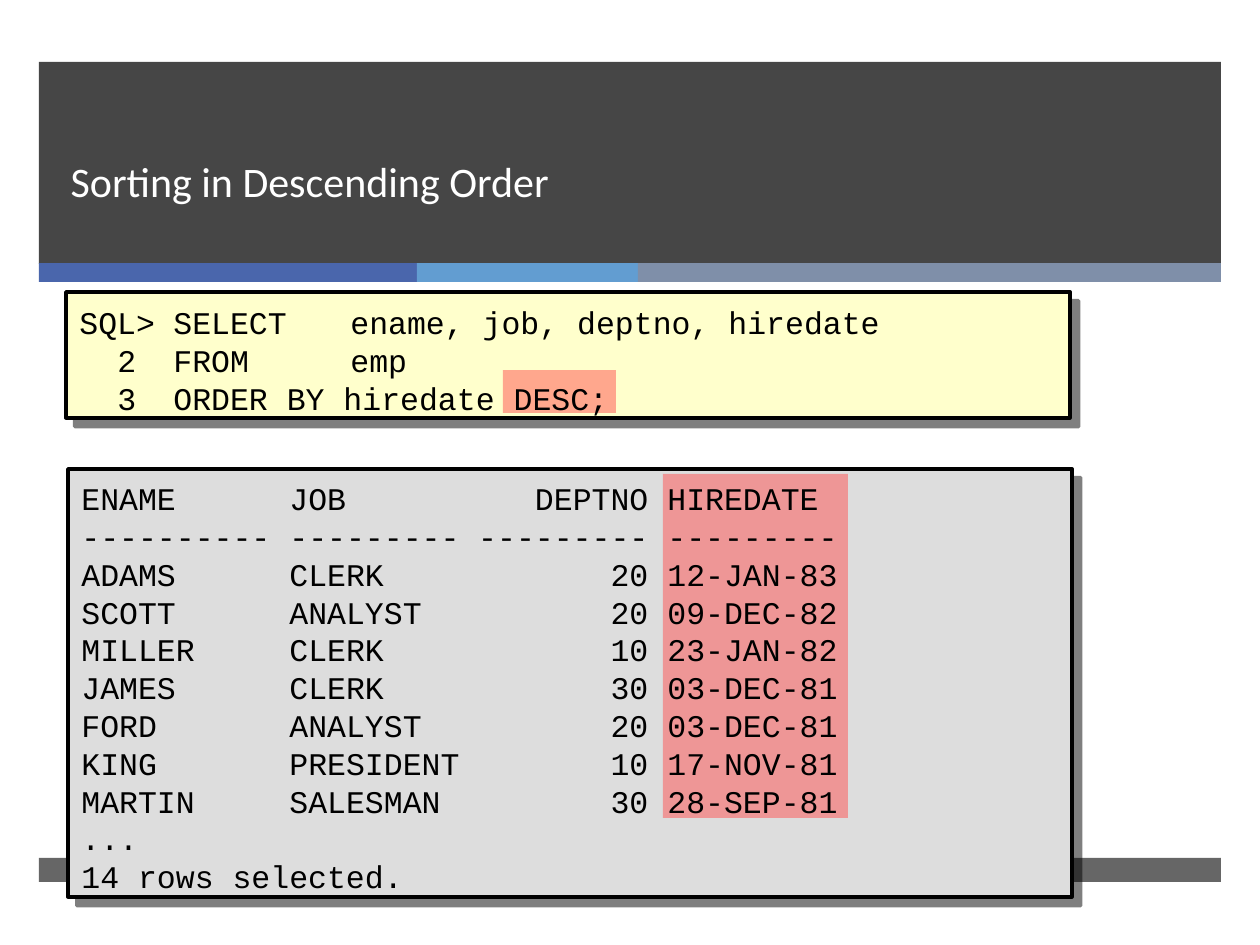
import dataclasses
import typing

import lxml.etree
import pptx
import pptx.dml.color
import pptx.enum.shapes
import pptx.enum.text
import pptx.oxml.ns
import pptx.util

SCALE = 914400 / 126  # EMU in one px
qn = pptx.oxml.ns.qn


@dataclasses.dataclass(frozen=True)
class Box:
    left: int
    top: int
    width: int
    height: int


@dataclasses.dataclass(frozen=True)
class Block:
    box: Box
    fill: str
    alpha: int = 100
    framed: bool = False


@dataclasses.dataclass(frozen=True)
class Tab:
    at: int
    side: str = "l"


@dataclasses.dataclass(frozen=True)
class Code:
    box: Box
    tabs: tuple[Tab, ...]
    lines: tuple[str, ...]


BARS = (
    Block(Box(39, 62, 1182, 202), "262626", 85),
    Block(Box(39, 263, 378, 19), "4A66AC"),
    Block(Box(417, 263, 221, 19), "629DD1"),
    Block(Box(638, 263, 583, 19), "7F8FA9"),
    Block(Box(39, 858, 1182, 24), "262626", 70),
)
PANELS = (
    Block(Box(66, 292, 1004, 126), "FFFFCC", framed=True),
    Block(Box(68, 469, 1004, 428), "DDDDDD", framed=True),
)
MARKS = (
    Block(Box(503, 370, 113, 43), "FF5050", 50),
    Block(Box(663, 474, 185, 344), "FF5050", 50),
)
QUERY = Code(
    Box(67, 291, 1008, 130),
    (Tab(38), Tab(94), Tab(271)),
    (
        "SQL>\tSELECT\tename, job, deptno, hiredate",
        "\t2\tFROM\temp",
        "\t3\tORDER BY hiredate DESC;",
    ),
)
RESULT = Code(
    Box(69, 467, 1008, 432),
    (Tab(208), Tab(567, "r"), Tab(586)),
    (
        "ENAME\tJOB\tDEPTNO\tHIREDATE",
        "----------\t---------\t---------\t---------",
        "ADAMS\tCLERK\t20\t12-JAN-83",
        "SCOTT\tANALYST\t20\t09-DEC-82",
        "MILLER\tCLERK\t10\t23-JAN-82",
        "JAMES\tCLERK\t30\t03-DEC-81",
        "FORD\tANALYST\t20\t03-DEC-81",
        "KING\tPRESIDENT\t10\t17-NOV-81",
        "MARTIN\tSALESMAN\t30\t28-SEP-81",
        "...",
        "14 rows selected.",
    ),
)


def emu(px: int) -> int:
    return round(px * SCALE)


def place(box: Box) -> tuple[int, int, int, int]:
    return emu(box.left), emu(box.top), emu(box.width), emu(box.height)


def color(code: str) -> pptx.dml.color.RGBColor:
    return pptx.dml.color.RGBColor.from_string(code)


def style(para: typing.Any, name: str, size: int, code: str) -> None:
    para.font.name = name
    para.font.size = pptx.util.Pt(size)
    para.font.color.rgb = color(code)


def add_alpha(tint: typing.Any, alpha: int) -> None:
    lxml.etree.SubElement(tint, qn("a:alpha"), val=str(alpha * 1000))


def add_shadow(shape: typing.Any) -> None:
    effects = shape._element.spPr.find(qn("a:effectLst"))
    shadow = lxml.etree.SubElement(
        effects, qn("a:outerShdw"), blurRad="0", dist=str(pptx.util.Pt(7.1)),
        dir="2700000", algn="ctr", rotWithShape="0")
    tint = lxml.etree.SubElement(shadow, qn("a:srgbClr"), val="000000")
    add_alpha(tint, 50)


def draw_block(slide: typing.Any, block: Block) -> None:
    kind = pptx.enum.shapes.MSO_SHAPE.RECTANGLE
    shape = slide.shapes.add_shape(kind, *place(block.box))
    shape.fill.solid()
    shape.fill.fore_color.rgb = color(block.fill)
    if block.alpha < 100:
        add_alpha(shape._element.spPr.find(".//" + qn("a:srgbClr")), block.alpha)
    shape.shadow.inherit = False
    if block.framed:
        shape.line.color.rgb = color("000000")
        shape.line.width = pptx.util.Pt(2)
        add_shadow(shape)
    else:
        shape.line.fill.background()


def draw_title(slide: typing.Any, text: str, box: Box) -> None:
    title = slide.shapes.title
    title.left, title.top, title.width, title.height = place(box)
    frame = title.text_frame
    frame.text = text
    frame.auto_size = pptx.enum.text.MSO_AUTO_SIZE.NONE
    frame.vertical_anchor = pptx.enum.text.MSO_ANCHOR.BOTTOM
    para = frame.paragraphs[0]
    para.alignment = pptx.enum.text.PP_ALIGN.LEFT
    para.line_spacing = pptx.util.Pt(46)
    style(para, "Calibri", 24, "FFFFFF")
    # Bring the title in front of the band
    slide.shapes._spTree.append(title._element)


def set_tabs(para: typing.Any, tabs: tuple[Tab, ...]) -> None:
    stops = lxml.etree.SubElement(para._p.get_or_add_pPr(), qn("a:tabLst"))
    for tab in tabs:
        lxml.etree.SubElement(stops, qn("a:tab"), pos=str(emu(tab.at)), algn=tab.side)


def draw_code(slide: typing.Any, code: Code) -> None:
    frame = slide.shapes.add_textbox(*place(code.box)).text_frame
    frame.word_wrap = True
    frame.vertical_anchor = pptx.enum.text.MSO_ANCHOR.MIDDLE
    frame.margin_top, frame.margin_bottom = emu(10), emu(2)
    frame.text = "\n".join(code.lines)
    for para in frame.paragraphs:
        set_tabs(para, code.tabs)
        para.line_spacing = pptx.util.Pt(21.6)
        style(para, "Courier New", 18, "000000")


def main() -> None:
    deck = pptx.Presentation()
    deck.slide_width, deck.slide_height = emu(1260), emu(945)
    slide = deck.slides.add_slide(deck.slide_layouts.get_by_name("Title Only"))

    # Header band, colour strip and footer bar
    for bar in BARS:
        draw_block(slide, bar)
    draw_title(slide, "Sorting in Descending Order", Box(58, 62, 1076, 150))

    # Panels, highlights and the code on top
    for block in PANELS + MARKS:
        draw_block(slide, block)
    for code in (QUERY, RESULT):
        draw_code(slide, code)

    deck.save("out.pptx")


if __name__ == "__main__":
    main()
